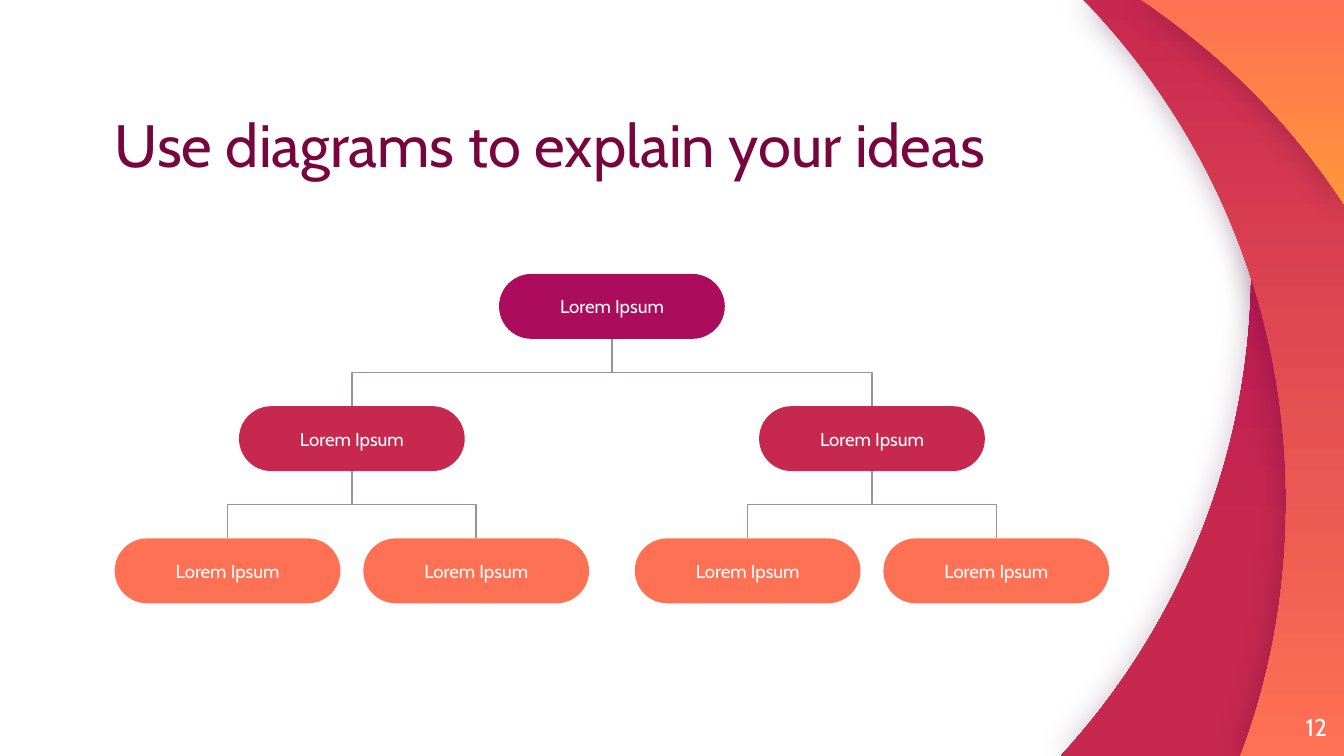
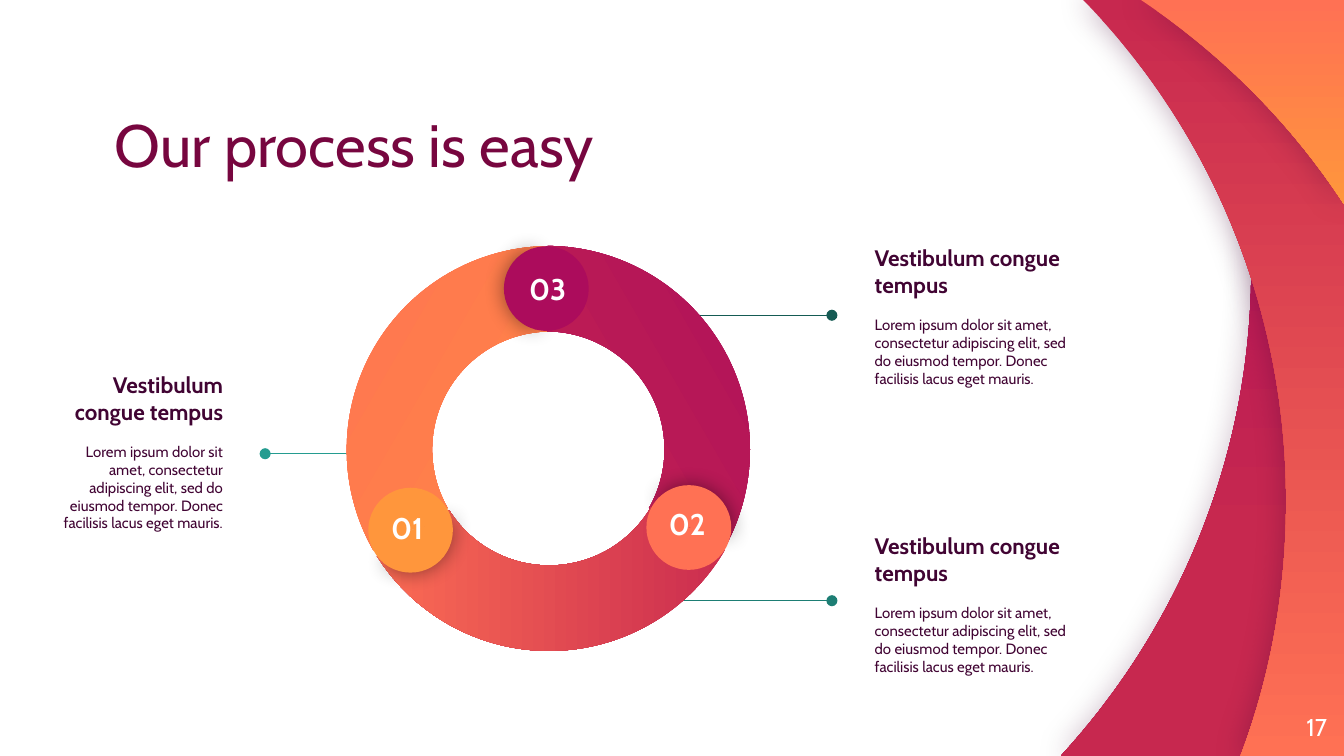
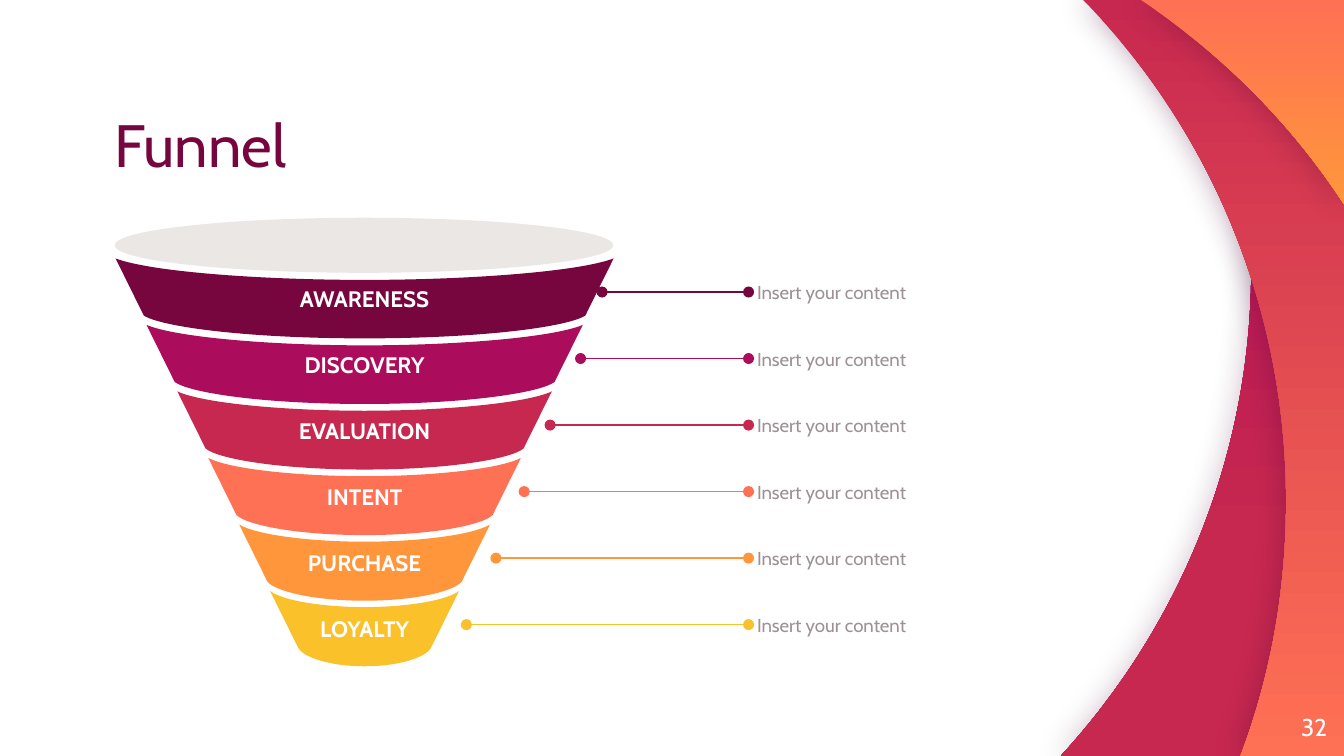
"""Build three slides: a tree diagram, a ring process and a funnel."""
import dataclasses

import lxml.etree
import pptx
import pptx.dml.color
import pptx.enum.shapes
import pptx.enum.text
import pptx.oxml
import pptx.oxml.ns
import pptx.util

SHAPE = pptx.enum.shapes.MSO_SHAPE
LINK = pptx.enum.shapes.MSO_CONNECTOR
ALIGN = pptx.enum.text.PP_ALIGN
ANCHOR = pptx.enum.text.MSO_ANCHOR
WIDTH = pptx.util.Inches(10)
HEIGHT = WIDTH * 9 // 16
COLUMNS = 100
ROWS = COLUMNS * HEIGHT / WIDTH


@dataclasses.dataclass(frozen=True)
class Theme:
    """Colours, font, type sizes and line width of the deck."""
    font: str = "Cabin"
    white: str = "FFFFFF"
    ink: str = "410433"
    plum: str = "77063F"
    magenta: str = "AC0C5C"
    crimson: str = "C7284F"
    coral: str = "FF7154"
    orange: str = "FF963C"
    yellow: str = "FAC12B"
    grey: str = "9C9194"
    pale: str = "EBE7E4"
    teals: tuple = ("249C90", "155B54", "1D7E74")
    title: int = 32
    number: int = 16
    page_number: int = 13
    heading: int = 12
    label: int = 10
    small: int = 8
    line: float = 0.75


THEME = Theme()
BERRY = ((0, THEME.magenta), (72, THEME.crimson), (100, THEME.crimson))
SUNSET = ((0, THEME.crimson), (100, THEME.coral))
GLOW = ((0, THEME.coral), (100, THEME.orange))
BODY = ("Lorem ipsum dolor sit amet, consectetur adipiscing elit, "
        "sed do eiusmod tempor. Donec facilisis lacus eget mauris.")


def cells(*values):
    """Turn grid cells into lengths."""
    return [round(value * WIDTH / COLUMNS) for value in values]


def assign(target, values):
    """Set each named attribute of the target."""
    for name, value in values.items():
        setattr(target, name, value)


def color(value):
    """Return the colour of a hex value."""
    return pptx.dml.color.RGBColor.from_string(value)


def tag(parent, name, **attributes):
    """Append a drawing element and return it."""
    element = lxml.etree.SubElement(parent, pptx.oxml.ns.qn(f"a:{name}"))
    for key, value in attributes.items():
        element.set(key, str(value))
    return element


def find(shape, name):
    """Return a drawing element of the shape properties."""
    return shape.element.spPr.find(pptx.oxml.ns.qn(f"a:{name}"))


def paint(shape, fill, angle=90, shadow=None):
    """Give a shape a plain or graded fill, no outline and an optional shadow."""
    shape.shadow.inherit = False
    shape.line.fill.background()
    if isinstance(fill, str):
        shape.fill.solid()
        shape.fill.fore_color.rgb = color(fill)
    else:
        shape.fill.gradient()
        gradient = find(shape, "gradFill")
        for child in list(gradient):
            gradient.remove(child)
        stops = tag(gradient, "gsLst")
        for place, value in fill:
            tag(tag(stops, "gs", pos=place * 1000), "srgbClr", val=value)
        tag(gradient, "lin", ang=angle * 60000, scaled=0)
    if shadow:
        value, opacity, blur = shadow
        outer = tag(find(shape, "effectLst"), "outerShdw", dist=0, dir=0,
                    blurRad=int(pptx.util.Pt(blur)), algn="ctr", rotWithShape=0)
        tag(tag(outer, "srgbClr", val=value), "alpha", val=opacity * 1000)


def write(shape, *lines, align=ALIGN.LEFT, anchor=ANCHOR.MIDDLE, inset=(0, 0)):
    """Write lines of (text, size, colour, bold, space after)."""
    across, down = cells(*inset)
    frame = shape.text_frame
    assign(frame, {"word_wrap": True, "auto_size": pptx.enum.text.MSO_AUTO_SIZE.NONE,
                   "vertical_anchor": anchor, "margin_left": across,
                   "margin_right": across, "margin_top": down, "margin_bottom": down})
    for index, (text, size, value, bold, after) in enumerate(lines):
        para = frame.add_paragraph() if index else frame.paragraphs[0]
        assign(para, {"alignment": align, "space_after": pptx.util.Pt(after)})
        span = para.add_run()
        span.text = text
        assign(span.font, {"name": THEME.font, "size": pptx.util.Pt(size), "bold": bold})
        span.font.color.rgb = color(value)


def add_text(shapes, place, *lines, **options):
    """Add a text box on the grid."""
    write(shapes.add_textbox(*cells(*place)), *lines, **options)


def add_shape(shapes, kind, place, fill, adjust=(), turn=0, **options):
    """Add a preset shape on the grid."""
    shape = shapes.add_shape(kind, *cells(*place))
    for index, value in enumerate(adjust):
        shape.adjustments[index] = value
    shape.rotation = turn
    paint(shape, fill, **options)
    return shape


def add_outline(shapes, steps, fill, **options):
    """Add a closed outline of points and cubic curves on the grid."""
    start, *rest = [cells(*step[index:index + 2])
                    for step in steps for index in range(0, len(step), 2)]
    builder = shapes.build_freeform(*start)
    builder.add_line_segments(rest, close=True)
    shape = builder.convert_to_shape()
    lines = iter(list(shape.element.iter(pptx.oxml.ns.qn("a:lnTo"))))
    for step in steps[1:]:
        first = next(lines)
        if len(step) == 6:
            first.tag = pptx.oxml.ns.qn("a:cubicBezTo")
            for extra in (next(lines), next(lines)):
                first.append(extra[0])
                extra.getparent().remove(extra)
    paint(shape, fill, **options)
    return shape


def style_line(connector, value, ends=()):
    """Colour a connector and put dots on the named ends."""
    connector.line.color.rgb = color(value)
    connector.line.width = pptx.util.Pt(THEME.line)
    for end in ends:
        tag(find(connector, "ln"), end, type="oval")
    tag(connector.element.spPr, "effectLst")


def add_line(shapes, start, stop, row, value, ends):
    """Add a level line between two columns."""
    connector = shapes.add_connector(LINK.STRAIGHT, *cells(start, row, stop, row))
    style_line(connector, value, ends)


def add_elbow(shapes, parent, child):
    """Join the foot of the parent to the head of the child."""
    connector = shapes.add_connector(LINK.ELBOW, 0, 0, 0, 0)
    rightward = child.left > parent.left
    ends = [(parent, 2), (child, 0)] if rightward else [(child, 0), (parent, 2)]
    connector.begin_connect(*ends[0])
    connector.end_connect(*ends[1])
    wide, high = connector.width, connector.height
    left, top = connector.left, connector.top
    assign(connector, {"left": left + (wide - high) // 2, "top": top + (high - wide) // 2,
                       "width": high, "height": wide})
    frame = find(connector, "xfrm")
    frame.attrib.clear()
    frame.set("rot", str(270 * 60000))
    if rightward:
        frame.set("flipH", "1")
    style_line(connector, THEME.grey)


def dress_layout(layout, page):
    """Put the curved bands on the shared layout."""
    for holder in list(layout.placeholders)[1:]:
        holder.element.getparent().remove(holder.element)
    bands = (
        (((89.2, 0), (91.8, 6.4, 93.1, 13.1, 93.1, 20), (93.1, 34, 87.7, 46.7, 78.93, ROWS),
          (COLUMNS, ROWS), (COLUMNS, 0)), BERRY, 25),
        (((80.6, 0), (90, 9.6, 95.7, 22.8, 95.7, 37.3), (95.7, 43.8, 94.6, 50.2, 92.3, ROWS),
          (COLUMNS, ROWS), (COLUMNS, 0)), SUNSET, 35),
        (((COLUMNS, 15.2), (COLUMNS, 0), (84.9, 0), (90.9, 4, 96.1, 9.2, COLUMNS, 15.2)),
         GLOW, 30),
    )
    for index, (steps, fill, opacity) in enumerate(bands):
        band = add_outline(page.shapes, steps, fill, shadow=(THEME.ink, opacity, 16.9))
        layout.shapes.element.insert(2 + index, band.element)


def add_page(deck, layout, title, number):
    """Add a slide with its title and page number."""
    page = deck.slides.add_slide(layout)
    if len(deck.slides) == 1:
        dress_layout(layout, page)
    holder = page.shapes.title
    assign(holder, dict(zip(("left", "top", "width", "height"), cells(8.53, 9.15, 76.1, 4.3))))
    write(holder, (title, THEME.title, THEME.plum, False, 0), anchor=ANCHOR.BOTTOM)
    holder.text_frame.paragraphs[0].line_spacing = 0.9
    add_text(page.shapes, (92.74, 51.9, 6, 4.3),
             (number, THEME.page_number, THEME.white, False, 0), align=ALIGN.RIGHT)
    return page


def add_branch(shapes, center, level=0):
    """Add a tree box with all boxes below it and return it."""
    fills = (THEME.magenta, THEME.crimson, THEME.coral)
    spreads = (19.35, 9.25)
    wide, high = 16.8, 4.83
    place = (center - wide / 2, 20.38 + 9.84 * level, wide, high)
    box = add_shape(shapes, SHAPE.ROUNDED_RECTANGLE, place, fills[level], (0.5,))
    write(box, ("Lorem Ipsum", THEME.label, THEME.white, False, 0),
          align=ALIGN.CENTER, inset=(1, 1))
    if level < len(spreads):
        for side in (-1, 1):
            child = add_branch(shapes, center + side * spreads[level], level + 1)
            add_elbow(shapes, box, child)
    return box


def add_callout(page, place, line, value, align):
    """Add a heading with its text and a dotted line to the ring."""
    shapes = page.shapes.add_group_shape().shapes
    add_text(shapes, place,
             ("Vestibulum congue tempus", THEME.heading, THEME.ink, True, 9.5),
             (BODY, THEME.small, THEME.ink, False, 16), align=align, inset=(1, 1))
    add_line(shapes, *line, value, ("tailEnd",))


def add_ring(page):
    """Add the three arcs with a numbered badge on each joint."""
    shapes = page.shapes.add_group_shape().shapes
    arcs = (
        (25.5, 18.3, 60, 197.82, BERRY, 90),
        (25.7, 18.13, 180, 196.63, SUNSET, 0),
        (25.8, 18.3, 300, 197.03, GLOW, 90),
    )
    for left, top, turn, stop, fill, angle in arcs:
        add_shape(shapes, SHAPE.BLOCK_ARC, (left, top, 30.3, 30.3), fill,
                  (126.22, stop, 0.21), turn, angle=angle)
    badges = (
        ("01", 27.4, 36.3, 240, THEME.orange, (27.5, 36.95)),
        ("03", 37.5, 18.32, 0, THEME.magenta, (37.95, 19.15)),
        ("02", 48.1, 36.1, 120, THEME.coral, (48.33, 36.6)),
    )
    for _, left, top, turn, fill, _ in badges:
        place = (left, top, 6.3, 6.3)
        add_shape(shapes, SHAPE.PIE, place, fill, (61.9, 149.96), turn + 0.6,
                  shadow=("000000", 43, 11.2))
        add_shape(shapes, SHAPE.PIE, place, fill, (40.28, 171.84), (turn + 180) % 360)
    for text, _, _, _, _, corner in badges:
        add_text(shapes, (*corner, 5.6, 2.9), (text, THEME.number, THEME.white, True, 0),
                 align=ALIGN.CENTER, anchor=ANCHOR.TOP, inset=(1, 1))


def funnel_steps(level, axis=27.13):
    """Return the outline of one funnel layer."""
    top = 19.23 + 4.95 * level
    half = 18.53 - 2.3 * level
    sag = 1.6 - 0.08 * level
    corner, foot = top + 4.25, half - 2.1
    depth = 1.7 - 0.07 * level
    base = corner + depth
    steps = (
        (-half, top),
        (-foot, corner),
        (-0.92 * foot, corner + 0.5 * depth, -0.53 * foot, base, 0, base),
        (0.53 * foot, base, 0.92 * foot, corner + 0.5 * depth, foot, corner),
        (half, top),
        (0.86 * half, top + 0.62 * sag, 0.42 * half, top + sag, 0, top + sag),
        (-0.42 * half, top + sag, -0.86 * half, top + 0.62 * sag, -half, top),
    )
    return [tuple(value if index % 2 else axis + value for index, value in enumerate(step))
            for step in steps]


def add_funnel(page):
    """Add the funnel layers, its mouth and a labelled line for each layer."""
    layers = (
        ("AWARENESS", THEME.plum, 44.8),
        ("DISCOVERY", THEME.magenta, 43.2),
        ("EVALUATION", THEME.crimson, 40.93),
        ("INTENT", THEME.coral, 39),
        ("PURCHASE", THEME.orange, 36.9),
        ("LOYALTY", THEME.yellow, 34.7),
    )
    shapes = page.shapes.add_group_shape().shapes
    for level, (name, fill, start) in enumerate(layers):
        layer = add_outline(shapes, funnel_steps(level), fill)
        write(layer, (name, THEME.heading, THEME.white, True, 0),
              align=ALIGN.CENTER, inset=(0.7, 0.4))
        add_line(page.shapes, start, 55.7, 21.73 + 4.95 * level, fill, ("headEnd", "tailEnd"))
        add_text(page.shapes, (56.33, 20 + 4.95 * level, 28.7, 3.5),
                 ("Insert your content", THEME.label, THEME.grey, False, 0))
    add_shape(shapes, SHAPE.OVAL, (8.53, 16.2, 37.1, 4.1), THEME.pale)


def main():
    """Build and save the deck."""
    deck = pptx.Presentation()
    assign(deck, {"slide_width": WIDTH, "slide_height": HEIGHT})
    layout = deck.slide_layouts[5]

    tree = add_page(deck, layout, "Use diagrams to explain your ideas", "12")
    add_branch(tree.shapes, 45.53)

    process = add_page(deck, layout, "Our process is easy", "17")
    callouts = (
        ((3.3, 26.54, 14.3, 14.1), (26.7, 19.73, 33.76), ALIGN.RIGHT),
        ((64.1, 16.43, 16.3, 14.1), (47.8, 61.9, 23.46), ALIGN.LEFT),
        ((64.1, 37.86, 16.3, 14.1), (47.8, 61.9, 44.7), ALIGN.LEFT),
    )
    for (place, line, align), value in zip(callouts, THEME.teals):
        add_callout(process, place, line, value, align)
    add_ring(process)

    add_funnel(add_page(deck, layout, "Funnel", "32"))
    deck.save("out.pptx")


if __name__ == "__main__":
    main()
